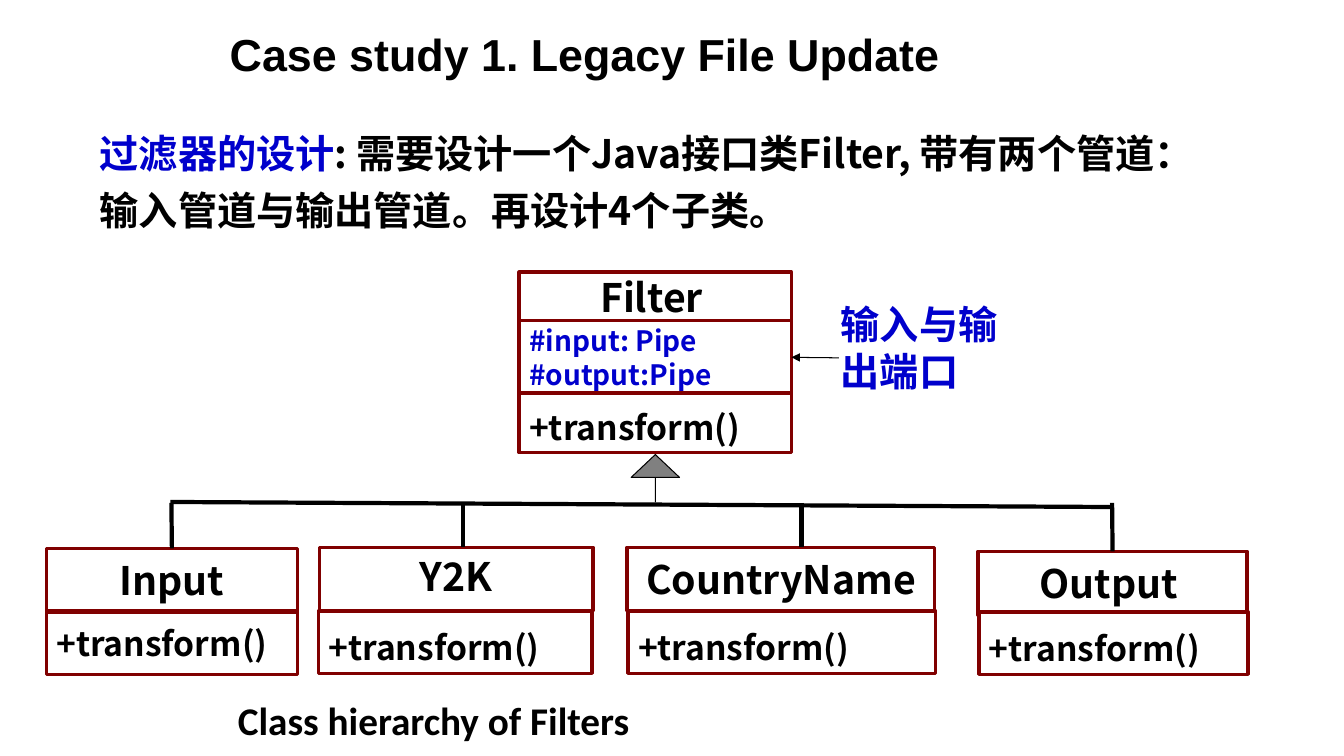
from dataclasses import dataclass

from lxml import etree
from pptx import Presentation
from pptx.dml.color import RGBColor
from pptx.enum.shapes import MSO_CONNECTOR, MSO_SHAPE
from pptx.enum.text import MSO_ANCHOR as Anchor, PP_ALIGN as Align
from pptx.oxml.ns import qn
from pptx.util import Inches, Pt

BLACK = RGBColor(0x00, 0x00, 0x00)
WHITE = RGBColor(0xFF, 0xFF, 0xFF)
BLUE = RGBColor(0x00, 0x00, 0xCC)
MAROON = RGBColor(0x80, 0x00, 0x00)
GRAY = RGBColor(0x80, 0x80, 0x80)
CJK_FONT = "Noto Sans CJK SC"


@dataclass
class Run:
    text: str
    size: float = 28
    color: RGBColor = BLACK


@dataclass
class Compartment:
    left: float
    top: float
    width: float
    height: float
    lines: list[list[Run]]
    align: Align = Align.LEFT
    spacing: float = 1.0


def write(frame, lines: list[list[Run]], *, font=CJK_FONT, align=Align.LEFT,
          spacing=1.0, anchor=Anchor.TOP, wrap=True, inset=(0.1, 0.05)) -> None:
    frame.word_wrap = wrap
    frame.vertical_anchor = anchor
    frame.margin_left = frame.margin_right = Inches(inset[0])
    frame.margin_top = frame.margin_bottom = Inches(inset[1])
    for index, line in enumerate(lines):
        paragraph = frame.add_paragraph() if index else frame.paragraphs[0]
        paragraph.alignment = align
        paragraph.line_spacing = spacing
        paragraph.space_before = Pt(0)
        for part in line:
            run = paragraph.add_run()
            run.text = part.text
            run.font.name = font
            run.font.size = Pt(part.size)
            run.font.bold = True
            run.font.color.rgb = part.color
            east_asian = etree.SubElement(run.font._element, qn("a:ea"))
            east_asian.set("typeface", font)


def add_text(slide, left: float, top: float, width: float, height: float,
             lines: list[list[Run]], **text_format) -> None:
    box = slide.shapes.add_textbox(*map(Inches, (left, top, width, height)))
    write(box.text_frame, lines, **text_format)


def add_compartment(slide, part: Compartment):
    box = slide.shapes.add_shape(
        MSO_SHAPE.RECTANGLE,
        *map(Inches, (part.left, part.top, part.width, part.height)))
    box.shadow.inherit = False
    box.fill.solid()
    box.fill.fore_color.rgb = WHITE
    box.line.color.rgb = MAROON
    box.line.width = Pt(2.5)
    write(box.text_frame, part.lines, align=part.align, spacing=part.spacing,
          anchor=Anchor.MIDDLE, wrap=False)
    return box


def add_line(slide, x1: float, y1: float, x2: float, y2: float, weight=3.0):
    line = slide.shapes.add_connector(
        MSO_CONNECTOR.STRAIGHT, *map(Inches, (x1, y1, x2, y2)))
    line.line.color.rgb = BLACK
    line.line.width = Pt(weight)
    etree.SubElement(line._element.spPr, qn("a:effectLst"))
    return line


def method(*gap: Run) -> list[list[Run]]:
    return [[Run("+transform()", 24), *gap]]


GAP = Run(" ", 24)
TALL_GAP = Run(" ", 32)

FILTER_NAME = Compartment(5.15, 2.7, 2.7, 0.48, [[Run("Filter"), GAP]], Align.CENTER)
FILTER_PIPES = Compartment(5.15, 3.18, 2.7, 0.73, [
    [Run("#input: Pipe", 20, BLUE)], [Run("#output:Pipe", 20, BLUE)]])
FILTER_METHOD = Compartment(5.15, 3.9, 2.7, 0.59, method(TALL_GAP))

# Each subclass: name part, method part, x of its branch, whether that is its middle
SUBCLASSES = [
    (Compartment(0.46, 5.44, 2.49, 0.62, [[Run("Input")]], Align.CENTER),
     Compartment(0.46, 6.07, 2.49, 0.62, method()), 1.7, True),
    (Compartment(3.17, 5.43, 2.71, 0.63, [[Run("Y2K")]], Align.CENTER, 0.9),
     Compartment(3.16, 6.06, 2.71, 0.62, method(TALL_GAP)), 4.59, False),
    (Compartment(6.22, 5.43, 3.05, 0.63, [[Run("CountryName")]], Align.CENTER),
     Compartment(6.23, 6.06, 3.05, 0.62, method(TALL_GAP)), 7.95, False),
    (Compartment(9.7, 5.47, 2.67, 0.63, [[Run("Output"), GAP]], Align.CENTER),
     Compartment(9.71, 6.07, 2.67, 0.62, method(TALL_GAP)), 11.03, True),
]


def main() -> None:
    deck = Presentation()
    deck.slide_width, deck.slide_height = Inches(13.33), Inches(7.5)
    slide = deck.slides.add_slide(deck.slide_layouts[5])

    # Caption, held by the title placeholder
    caption = slide.shapes.title
    caption.left, caption.top = Inches(2.26), Inches(6.9)
    caption.width, caption.height = Inches(8.78), Inches(0.55)
    write(caption.text_frame, [[Run("Class hierarchy of Filters")]],
          font="Calibri", spacing=0.9, anchor=Anchor.MIDDLE)

    # Heading and introduction
    add_text(slide, 2.18, 0.28, 9.06, 0.59,
             [[Run("Case study 1. Legacy File Update", 32)]],
             font="Arial", align=Align.JUSTIFY, spacing=0.9)
    add_text(slide, 0.99, 1.19, 11.23, 1.13, [[
        Run("过滤器的设计", color=BLUE),
        Run(": 需要设计一个Java接口类Filter, 带有两个管道："
            "输入管道与输出管道。再设计4个子类。")]],
        spacing=1.2, inset=(0, 0))

    # Filter class
    add_compartment(slide, FILTER_NAME)
    pipes = add_compartment(slide, FILTER_PIPES)
    add_compartment(slide, FILTER_METHOD)

    # Inheritance tree
    add_line(slide, 1.69, 4.98, 11.04, 5.03)
    for name_part, method_part, branch_x, is_middle in SUBCLASSES:
        name_box = add_compartment(slide, name_part)
        add_compartment(slide, method_part)
        branch = add_line(slide, branch_x, 4.99, branch_x, name_part.top)
        if is_middle:
            branch.end_connect(name_box, 0)

    inheritance = slide.shapes.add_shape(
        MSO_SHAPE.UP_ARROW, *map(Inches, (6.26, 4.51, 0.48, 0.47)))
    inheritance.adjustments[0] = 0
    inheritance.adjustments[1] = 0.483
    inheritance.shadow.inherit = False
    inheritance.fill.solid()
    inheritance.fill.fore_color.rgb = GRAY
    inheritance.line.color.rgb = BLACK
    inheritance.line.width = Pt(0.75)

    # Note on the ports
    add_text(slide, 8.24, 2.93, 1.89, 1.03,
             [[Run("输入与输", color=BLUE)], [Run("出端口", color=BLUE)]])
    pointer = add_line(slide, 8.32, 3.55, 7.85, 3.55, weight=0.75)
    pointer.end_connect(pipes, 3)
    etree.SubElement(pointer.line._get_or_add_ln(), qn("a:tailEnd")).set("type", "triangle")

    deck.save("out.pptx")


if __name__ == "__main__":
    main()
